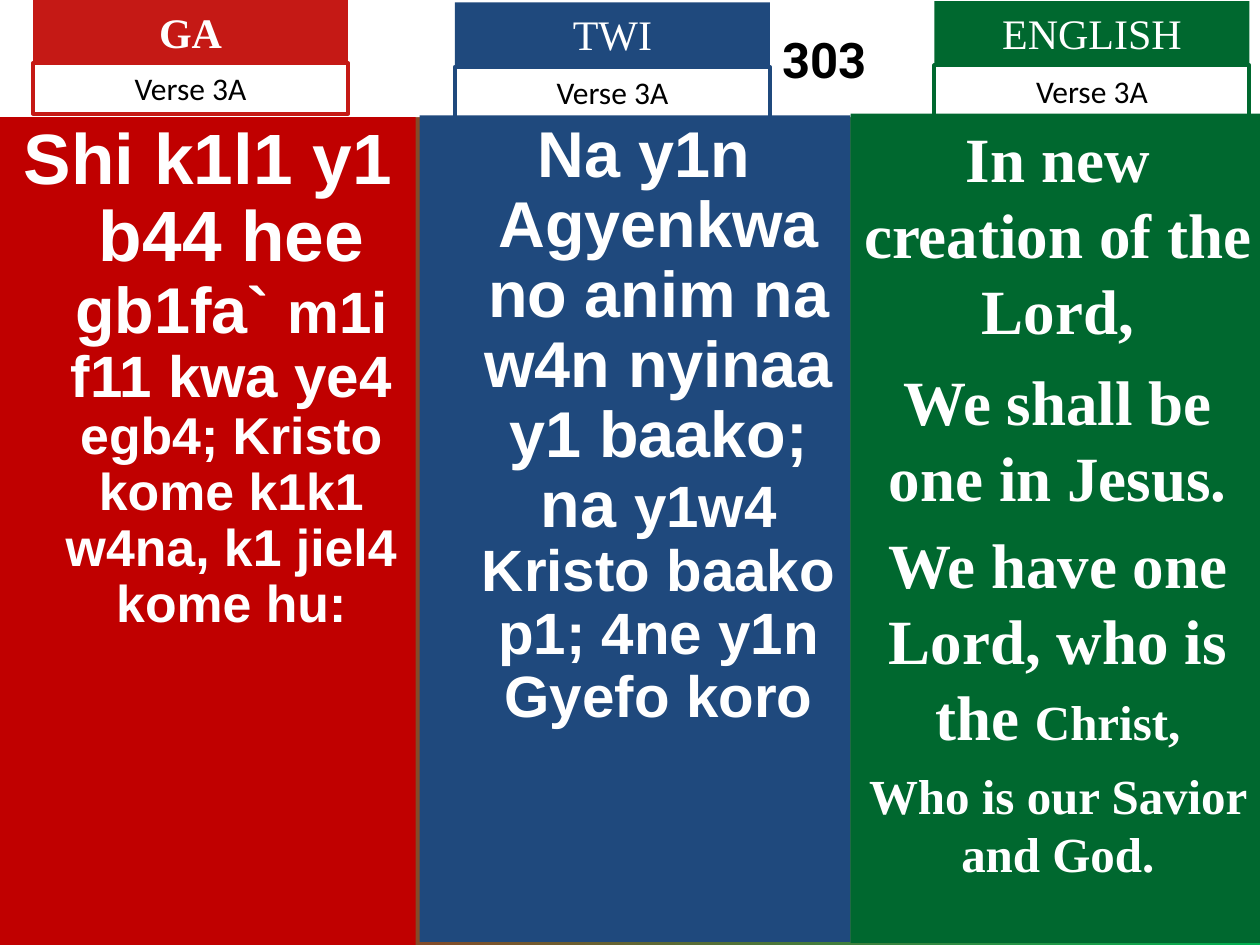
from pptx import Presentation
from pptx.dml.color import RGBColor as Rgb
from pptx.enum.shapes import MSO_SHAPE as Kind
from pptx.enum.text import MSO_ANCHOR as Anchor, PP_ALIGN as Align
from pptx.util import Pt

HUES = {"white": "FFFFFF", "black": "000000", "red": "C51915", "deep": "C00000",
        "blue": "1F497D", "green": "00682F", "lime": "00B050"}
SERIF = "Times New Roman"


def hue(name):
    """Return the colour of a given name."""
    return Rgb.from_string(HUES[name])


def write(para, text, size=18, font="Calibri", ink="white", bold=False):
    """Add a run of formatted text to a paragraph."""
    run = para.add_run()
    run.text = text
    run.font.size, run.font.name, run.font.bold = Pt(size), font, bold
    run.font.color.rgb = hue(ink)


class Deck:
    """Hold the file, its style and the current slide."""

    def __init__(self):
        """Start a file with one blank slide."""
        self.file = Presentation()
        self.file.slide_width, self.file.slide_height = Pt(720), Pt(540)
        self.slide = self.file.slides.add_slide(self.file.slide_layouts[6])

    def back(self, first, last):
        """Fill the background with a gradient."""
        fill = self.slide.background.fill
        fill.gradient()
        fill.gradient_angle = 0
        for stop, name in zip(fill.gradient_stops, (first, last)):
            stop.color.rgb = hue(name)
        fill.gradient_stops[0].position, fill.gradient_stops[1].position = 0, 1

    def box(self, left, top, width, height, fill=None, line=None, anchor=Anchor.TOP):
        """Draw a rectangle and return its text frame."""
        shape = self.slide.shapes.add_shape(
            Kind.RECTANGLE, Pt(left), Pt(top), Pt(width), Pt(height))
        shape.shadow.inherit = False
        if fill:
            shape.fill.solid()
            shape.fill.fore_color.rgb = hue(fill)
        else:
            shape.fill.background()
        if line:
            shape.line.color.rgb = hue(line)
            shape.line.width = Pt(2.25)
        else:
            shape.line.fill.background()
        frame = shape.text_frame
        frame.word_wrap, frame.vertical_anchor = True, anchor
        return frame

    def title(self, text):
        """Draw the top band with the hymn number."""
        frame = self.box(0, 0, 720, 67, "white", anchor=Anchor.MIDDLE)
        frame.margin_left = Pt(229)
        para = frame.paragraphs[0]
        para.alignment = Align.CENTER
        write(para, text, 28, "Roboto", "black", True)

    def head(self, left, top, drop, name, color, bold=False):
        """Draw a language label with its verse label below."""
        label = self.box(left, top, 180, 36, color)
        verse = self.box(left, drop, 180, 29, line=color)
        label.paragraphs[0].alignment = verse.paragraphs[0].alignment = Align.CENTER
        write(label.paragraphs[0], name, 24, SERIF, bold=bold)
        write(verse.paragraphs[0], "Verse 3A", ink="black")

    def panel(self, left, top, width, height, color, font, paras,
              space=None, inset=0, hang=0):
        """Draw a column of verse text, each paragraph a gap and its runs."""
        frame = self.box(left, top, width, height, color)
        for at, (gap, runs) in enumerate(paras):
            para = frame.add_paragraph() if at else frame.paragraphs[0]
            para.alignment = Align.CENTER
            para.line_spacing = space
            if at:
                para.space_before = Pt(gap)
            if inset:
                props = para._p.get_or_add_pPr()
                props.set("marL", str(Pt(inset)))
                props.set("indent", str(Pt(-hang)))
            for size, text in runs:
                write(para, text, size, font, bold=True)


def main():
    """Build the hymn slide."""
    deck = Deck()
    deck.back("red", "lime")
    deck.title("303")
    deck.panel(0, 67, 237.6, 473, "deep", "Arial", [
        (0, [(40.7, "Shi k1l1 y1 b44 hee "), (37, "gb1fa` "),
             (33.3, "m1i f11 kwa ye4 "),
             (29.6, "egb4; Kristo kome k1k1 w4na, k1 jiel4 kome hu:")])],
        space=0.9, inset=27, hang=27)
    deck.panel(239.8, 66, 246.2, 472.3, "blue", "Arial", [
        (0, [(37, "Na y1n Agyenkwa no anim na w4n nyinaa y1 baako; na "),
             (33.3, "y1w4 Kristo baako p1; 4ne y1n Gyefo koro")])],
        space=0.9, inset=27, hang=17)
    deck.head(18.9, 0, 36, "GA", "red", bold=True)
    deck.head(260, 1.4, 38.2, "TWI", "blue")
    deck.panel(486, 65, 236.9, 473.8, "green", SERIF, [
        (0, [(36, "In new creation of the Lord,")]),
        (9, [(36, "We shall be one in Jesus.")]),
        (7, [(36, "We have one Lord, who is the "), (28, "Christ,")]),
        (7, [(28, "Who is our Savior and God.")])])
    deck.head(534, 0.7, 37.4, "ENGLISH", "green")
    deck.file.save("out.pptx")


if __name__ == "__main__":
    main()
